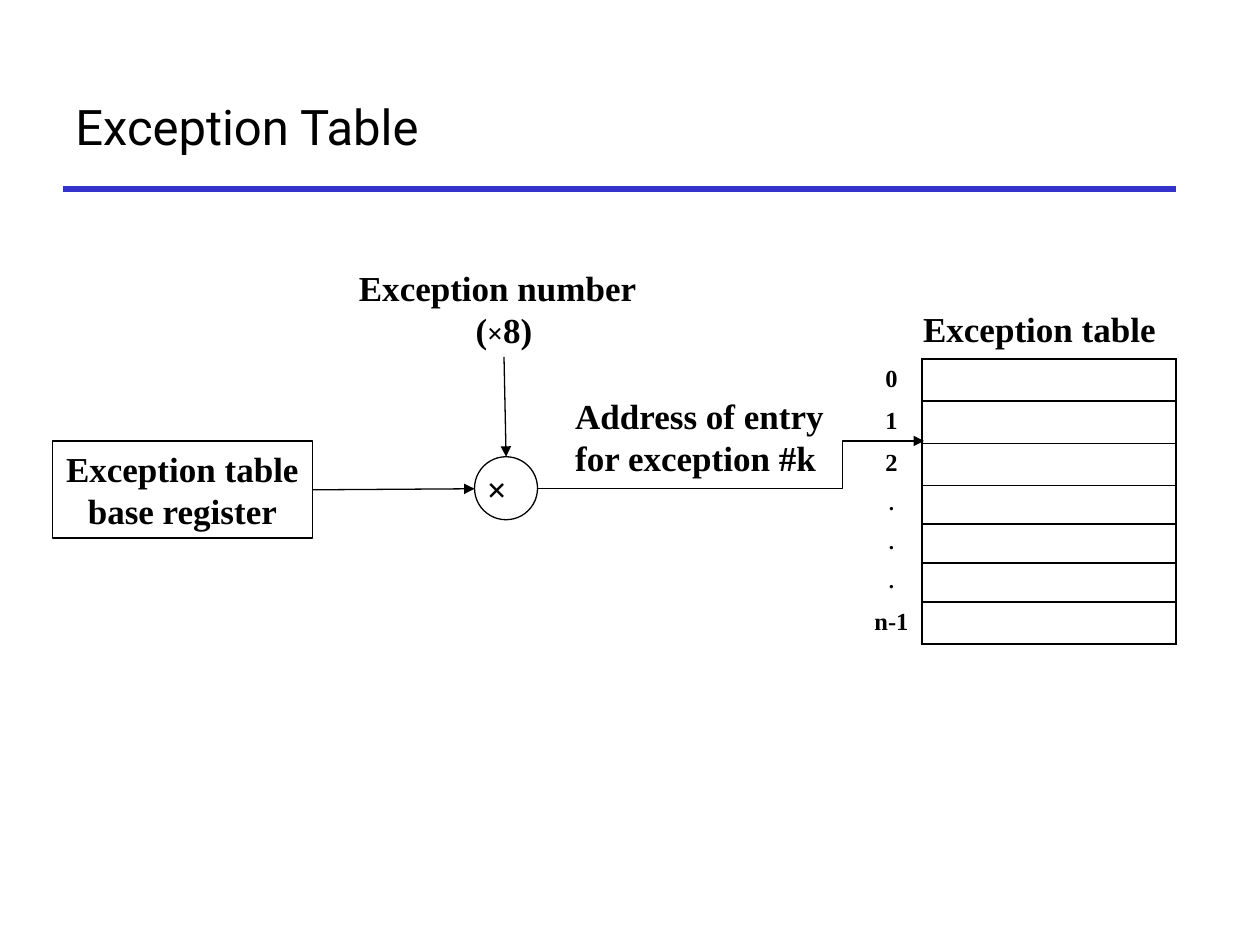
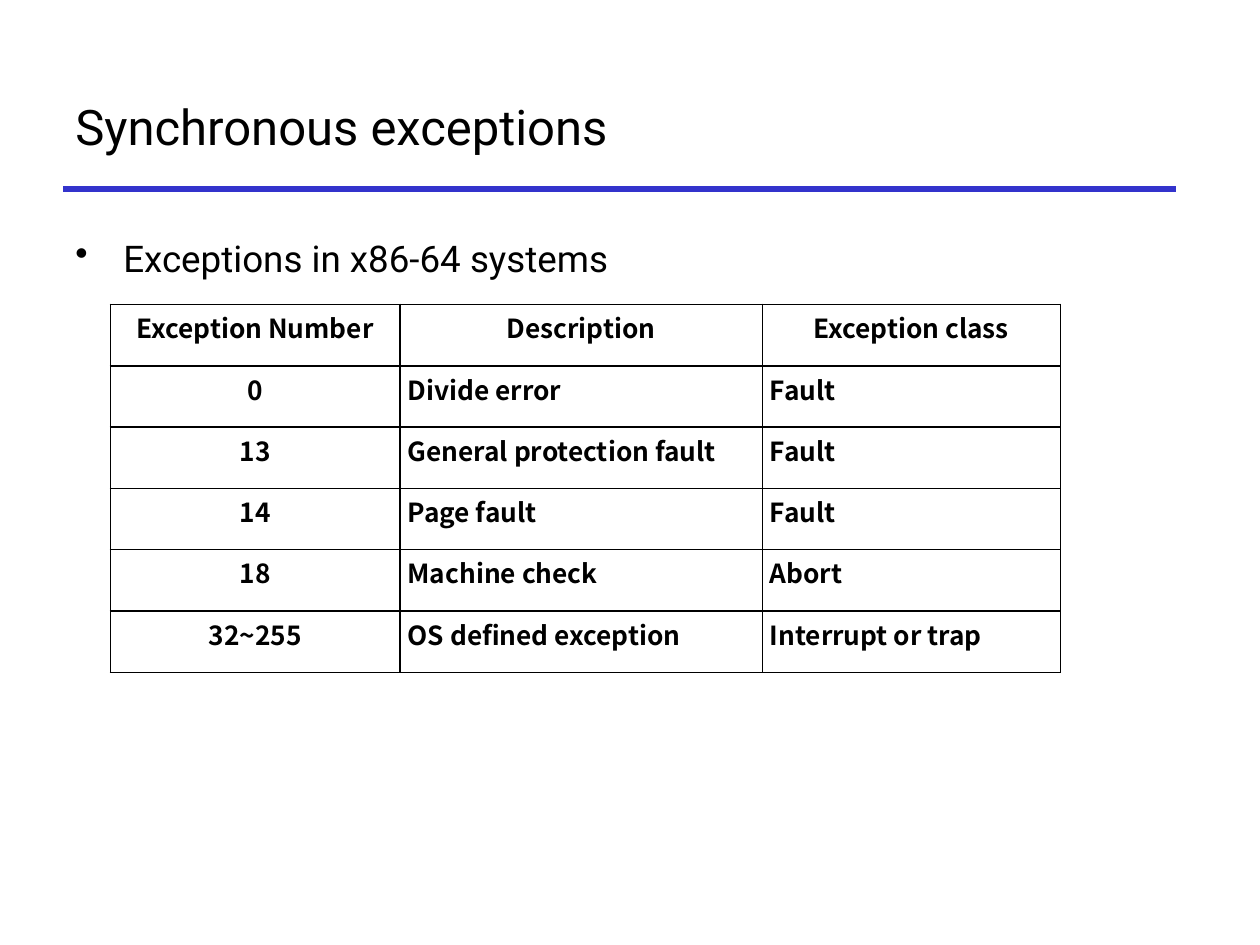
from dataclasses import dataclass
from itertools import product
from typing import Any

from lxml import etree
from pptx import Presentation
from pptx.dml.color import RGBColor
from pptx.enum.shapes import MSO_CONNECTOR, MSO_SHAPE
from pptx.enum.text import MSO_ANCHOR, PP_ALIGN
from pptx.oxml.ns import qn
from pptx.util import Emu, Inches, Pt

LEFT, MID, RIGHT = PP_ALIGN.LEFT, PP_ALIGN.CENTER, PP_ALIGN.RIGHT
TOP, HALF = MSO_ANCHOR.TOP, MSO_ANCHOR.MIDDLE
STRAIGHT, ELBOW = MSO_CONNECTOR.STRAIGHT, MSO_CONNECTOR.ELBOW
BOX, DISC = MSO_SHAPE.RECTANGLE, MSO_SHAPE.FLOWCHART_CONNECTOR

BLACK, BLUE = "000000", "3333CC"
SANS, SERIF, TABLE = "Roboto", "Times New Roman", "Noto Sans CJK SC"
PLAIN = "{2D5ABB26-0587-4C30-8999-92F81FD0307C}"  # table style without lines

# The grid has 120 columns and 90 rows, twelve to the inch
WIDE, HIGH = Inches(10), Inches(7.5)
UNIT = WIDE // 120


@dataclass
class Look:
    size: float
    face: str
    bold: bool = False
    align: Any = LEFT


TITLE = Look(28, SANS)
BODY = Look(21, SANS)
LABEL = Look(20, SERIF, True)
NOTE = Look(20, SERIF, True, MID)
HEAD = Look(20, SERIF, True, RIGHT)
INDEX = Look(14, SERIF, True, MID)
DOT = Look(12, SERIF, True, MID)
CELL = Look(15, TABLE, True)
KEY = Look(15, TABLE, True, MID)


@dataclass
class Wire:
    start: tuple[float, float]
    end: tuple[float, float]
    color: str = BLACK
    width: float = 0.75
    arrow: bool = True
    bend: float = 0


def cells(*nums: float) -> list[Emu]:
    return [Emu(round(n * UNIT)) for n in nums]


def paint(color: str) -> RGBColor:
    return RGBColor.from_string(color)


def apply(item: Any, **values: Any) -> None:
    for name, value in values.items():
        setattr(item, name, value)


def sub(node: Any, tag: str, **attrs: str) -> Any:
    return etree.SubElement(node, qn(tag), attrs)


def write(para: Any, text: str, look: Look, size: float = 0) -> None:
    para.alignment = look.align
    run = para.add_run()
    run.text = text
    apply(run.font, size=Pt(size or look.size), name=look.face, bold=look.bold)
    run.font.color.rgb = paint(BLACK)


def fill(frame: Any, lines: list[str], look: Look) -> None:
    for num, line in enumerate(lines):
        write(frame.add_paragraph() if num else frame.paragraphs[0], line, look)


def label(slide: Any, area: tuple, lines: list[str], look: Look,
          anchor: Any = TOP) -> Any:
    frame = slide.shapes.add_textbox(*cells(*area)).text_frame
    apply(frame, word_wrap=True, vertical_anchor=anchor)
    fill(frame, lines, look)
    return frame


def shape(slide: Any, kind: Any, area: tuple) -> Any:
    item = slide.shapes.add_shape(kind, *cells(*area))
    item.shadow.inherit = False
    item.fill.background()
    item.line.color.rgb = paint(BLACK)
    item.line.width = Pt(0.75)
    return item


def link(slide: Any, wire: Wire) -> None:
    kind = ELBOW if wire.bend else STRAIGHT
    item = slide.shapes.add_connector(kind, *cells(*wire.start, *wire.end))
    item.line.color.rgb = paint(wire.color)
    item.line.width = Pt(wire.width)
    props = item._element.spPr
    if wire.arrow:
        sub(props.find(qn("a:ln")), "a:tailEnd", type="triangle")
    if wire.bend:
        sub(props.find(qn("a:prstGeom")).find(qn("a:avLst")), "a:gd",
            name="adj1", fmla=f"val {round(wire.bend * 100000)}")
    sub(props, "a:effectLst")


def grid(slide: Any, place: tuple, cols: list[float], rows: list[float]) -> Any:
    area = cells(*place, sum(cols), sum(rows))
    table = slide.shapes.add_table(len(rows), len(cols), *area).table
    apply(table, first_row=False, horz_banding=False)
    table._tbl.tblPr.find(qn("a:tableStyleId")).text = PLAIN
    for col, width in zip(table.columns, cells(*cols)):
        col.width = width
    for row, height in zip(table.rows, cells(*rows)):
        row.height = height
    return table


def dress(cell: Any, sides: str, text: str, look: Look, padx: float,
          pady: float) -> None:
    props = cell._tc.get_or_add_tcPr()
    for side in sides:
        line = sub(props, f"a:ln{side}", w=str(Pt(1)))
        sub(sub(line, "a:solidFill"), "a:srgbClr", val=BLACK)
    cell.fill.background()
    apply(cell, margin_left=Inches(padx), margin_right=Inches(padx),
          margin_top=Inches(pady), margin_bottom=Inches(pady))
    fill(cell.text_frame, [text], look)


def page(deck: Any, title: str) -> Any:
    slide = deck.slides.add_slide(deck.slide_layouts[6])
    link(slide, Wire((6, 18), (112, 18), BLUE, 3, False))
    label(slide, (6, 6, 106, 12), [title], TITLE, HALF)
    return slide


def lookup(deck: Any) -> None:
    slide = page(deck, "Exception Table")

    # Number and base register
    frame = label(slide, (33, 24.75, 30, 9.25), ["Exception number"], LABEL)
    para = frame.add_paragraph()
    for text, size in (("(", 20), ("×", 16), ("8)", 20)):
        write(para, text, NOTE, size)
    base = shape(slide, BOX, (5, 42, 24.75, 9.25)).text_frame
    apply(base, word_wrap=False, vertical_anchor=TOP)
    fill(base, ["Exception table", "base register"], NOTE)

    # Table with its index column
    marks = ["0", "1", "2", ".", ".", ".", "n-1"]
    heights = [3.7 if mark == "." else 4 for mark in marks]
    table = grid(slide, (82, 29), [5.8, 24.2], [5.2] + heights)
    head = table.cell(0, 0)
    head.merge(table.cell(0, 1))
    dress(head, "", "Exception table", HEAD, 0.1, 0.05)
    head.margin_right = Inches(0.16)
    for row, mark in enumerate(marks, 1):
        look = DOT if mark == "." else INDEX
        dress(table.cell(row, 0), "R", mark, look, 0.1, 0.05)
        dress(table.cell(row, 1), "LRTB", "", DOT, 0.1, 0)

    # Address and operator
    label(slide, (53.6, 37, 27.2, 9.25),
          ["Address of entry", "for exception #k"], LABEL)
    shape(slide, DISC, (45.2, 43.5, 6, 6))
    label(slide, (45.2, 43.9, 5.8, 5.3), ["×"], LABEL)

    # Arrows
    for wire in (Wire((48, 34), (48.2, 43.5)),
                 Wire((29.75, 46.65), (45.2, 46.55)),
                 Wire((51.1, 46.55), (88, 42), bend=0.79)):
        link(slide, wire)


def classes(deck: Any) -> None:
    slide = page(deck, "Synchronous exceptions")

    # Bullet
    frame = label(slide, (6, 21, 100, 43.5), ["Exceptions in x86-64 systems"],
                  BODY)
    para = frame.paragraphs[0]
    para.line_spacing = 1.2
    props = para._p.get_or_add_pPr()
    apart = Inches(0.38)
    props.set("marL", str(apart))
    props.set("indent", str(-apart))
    sub(props, "a:buChar", char="•")

    # Table of exceptions
    rows = [
        ("Exception Number", "Description", "Exception class"),
        ("0", "Divide error", "Fault"),
        ("13", "General protection fault", "Fault"),
        ("14", "Page fault", "Fault"),
        ("18", "Machine check", "Abort"),
        ("32~255", "OS defined exception", "Interrupt or trap"),
    ]
    table = grid(slide, (10.5, 29), [27.6, 34.5, 28.4], [5.84] * len(rows))
    for row, col in product(range(len(rows)), range(3)):
        look = CELL if row and col else KEY
        dress(table.cell(row, col), "LRTB", rows[row][col], look, 0.06, 0.03)


def main() -> None:
    deck = Presentation()
    apply(deck, slide_width=WIDE, slide_height=HIGH)
    lookup(deck)
    classes(deck)
    deck.save("out.pptx")


main()
